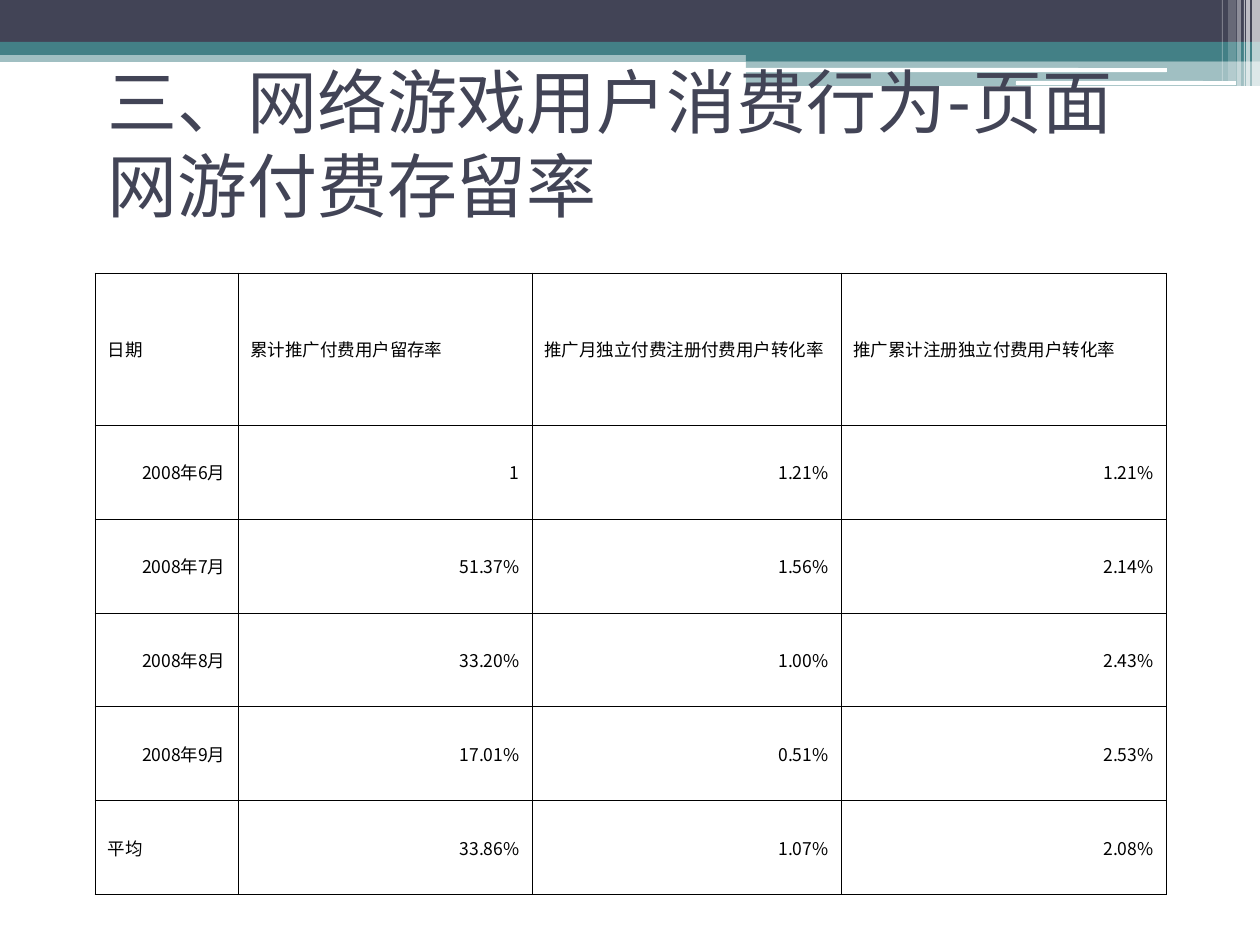
from lxml.etree import SubElement
from pptx import Presentation
from pptx.dml.color import RGBColor
from pptx.enum.shapes import MSO_SHAPE
from pptx.enum.text import MSO_ANCHOR, PP_ALIGN
from pptx.oxml.ns import qn
from pptx.util import Emu, Pt

COLORS = {"navy": "424456", "teal": "438086", "white": "FFFFFF", "black": "000000"}
LATIN, CJK = "Lato", "Noto Sans CJK SC"

TITLE = "三、网络游戏用户消费行为-页面网游付费存留率"
ROWS = [
    ("日期", "累计推广付费用户留存率", "推广月独立付费注册付费用户转化率", "推广累计注册独立付费用户转化率"),
    ("2008年6月", "1", "1.21%", "1.21%"),
    ("2008年7月", "51.37%", "1.56%", "2.14%"),
    ("2008年8月", "33.20%", "1.00%", "2.43%"),
    ("2008年9月", "17.01%", "0.51%", "2.53%"),
    ("平均", "33.86%", "1.07%", "2.08%"),
]
LEFT_ALIGNED = {*ROWS[0], "平均"}
COLUMN_WIDTHS = [143, 294, 309, 325]
ROW_HEIGHTS = [152] + [94] * 5

# left, top, width, height, colour, opacity in percent
BANDS = [
    (0, 50, 1260, 12, "teal", 50),
    (0, 0, 1260, 42, "navy", 100),
    (0, 42, 1260, 13, "teal", 100),
    (746, 49, 514, 12, "teal", 100),
    (746, 61, 514, 25, "teal", 50),
]
HIGHLIGHTS = [(745, 68, 422, 4, "white", 100), (1016, 81, 220, 4, "white", 100)]
# left, width, height, opacity in percent
STRIPES = [(1252, 8, 86, 65), (1246, 4, 86, 65), (1244, 1, 86, 60),
           (1237, 4, 86, 40), (1228, 8, 81, 20), (1222, 1, 81, 30)]


def px(length):
    return Emu(round(length * 914400 / 126))


def color(name):
    return RGBColor.from_string(COLORS[name])


def add_bar(page, left, top, width, height, fill, opacity, kind=MSO_SHAPE.RECTANGLE):
    bar = page.shapes.add_shape(kind, px(left), px(top), px(width), px(height))
    bar.shadow.inherit = False
    bar.line.fill.background()
    bar.fill.solid()
    bar.fill.fore_color.rgb = color(fill)
    if opacity < 100:
        tint = bar.fill._xPr.find(qn("a:solidFill"))[0]
        SubElement(tint, qn("a:alpha"), val=str(opacity * 1000))


def style_text(para, size, latin, fill):
    for span in para.runs:
        span.font.size = Pt(size)
        span.font.name = latin
        span.font.color.rgb = color(fill)
        SubElement(span.font._element, qn("a:ea"), typeface=CJK)


def add_borders(cell):
    properties = cell._tc.get_or_add_tcPr()
    for index, side in enumerate(("a:lnL", "a:lnR", "a:lnT", "a:lnB")):
        line = properties.makeelement(qn(side), {"w": str(Pt(0.45))})
        fill = SubElement(line, qn("a:solidFill"))
        SubElement(fill, qn("a:srgbClr"), val=COLORS["black"])
        properties.insert(index, line)


deck = Presentation()
deck.slide_width, deck.slide_height = px(1260), px(945)
page = deck.slides.add_slide(deck.slide_layouts[6])

# Header bands and stripes
for band in BANDS:
    add_bar(page, *band)
for highlight in HIGHLIGHTS:
    add_bar(page, *highlight, kind=MSO_SHAPE.ROUNDED_RECTANGLE)
for left, width, height, opacity in STRIPES:
    add_bar(page, left, 0, width, height, "white", opacity)

# Title
title = page.shapes.add_textbox(px(95), px(42), px(1071), px(202))
title.text_frame.word_wrap = True
title.text_frame.vertical_anchor = MSO_ANCHOR.MIDDLE
title.text_frame.text = TITLE
style_text(title.text_frame.paragraphs[0], 40, LATIN, "navy")

# Retention table
table = page.shapes.add_table(
    len(ROWS), len(COLUMN_WIDTHS), px(95), px(273),
    px(sum(COLUMN_WIDTHS)), px(sum(ROW_HEIGHTS))).table
table.first_row = table.horz_banding = False
for column, width in zip(table.columns, COLUMN_WIDTHS):
    column.width = px(width)
for row, height, texts in zip(table.rows, ROW_HEIGHTS, ROWS):
    row.height = px(height)
    for cell, text in zip(row.cells, texts):
        cell.fill.background()
        cell.vertical_anchor = MSO_ANCHOR.MIDDLE
        cell.text_frame.text = text
        para = cell.text_frame.paragraphs[0]
        para.alignment = PP_ALIGN.LEFT if text in LEFT_ALIGNED else PP_ALIGN.RIGHT
        style_text(para, 10, CJK, "black")
        add_borders(cell)

deck.save("out.pptx")
